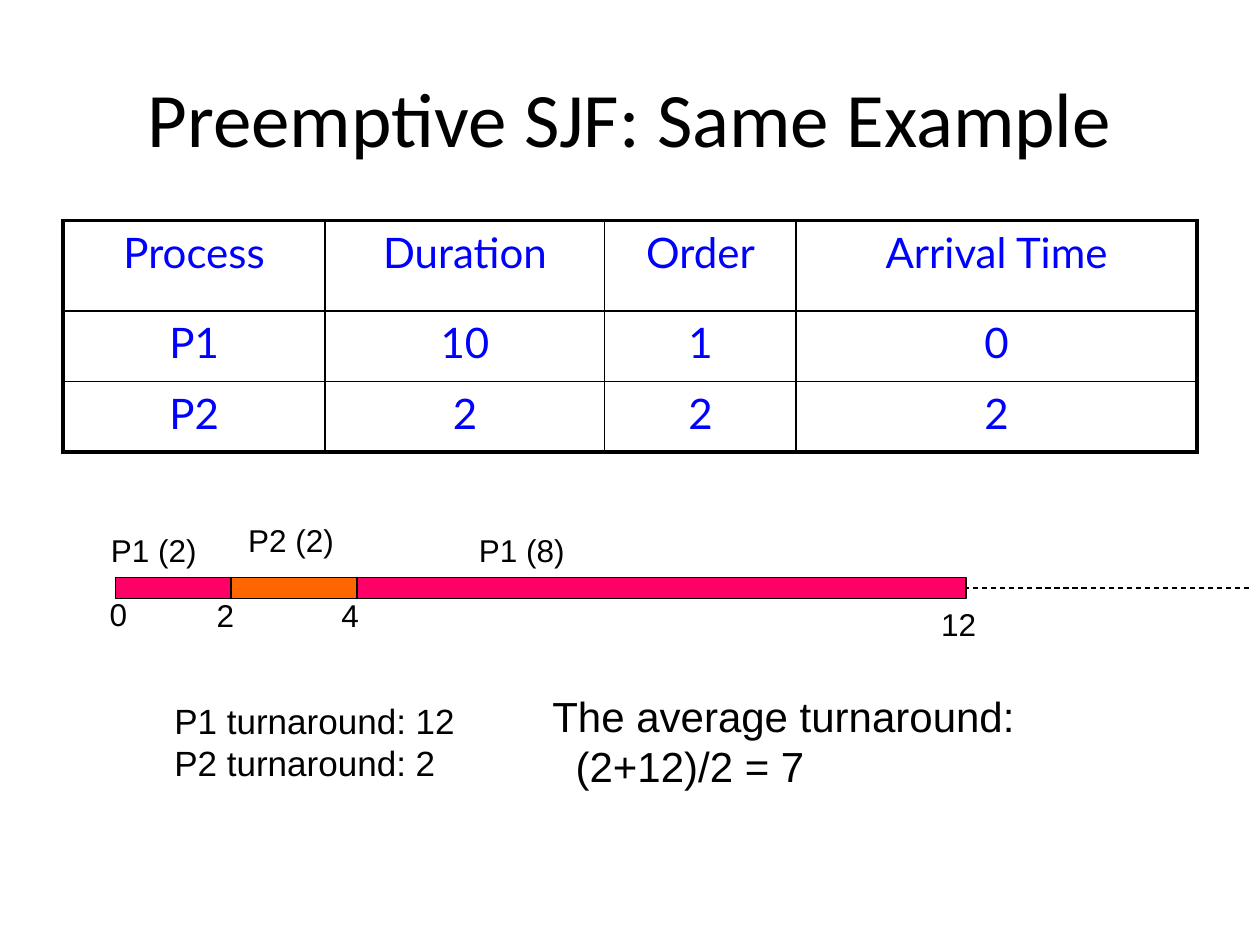
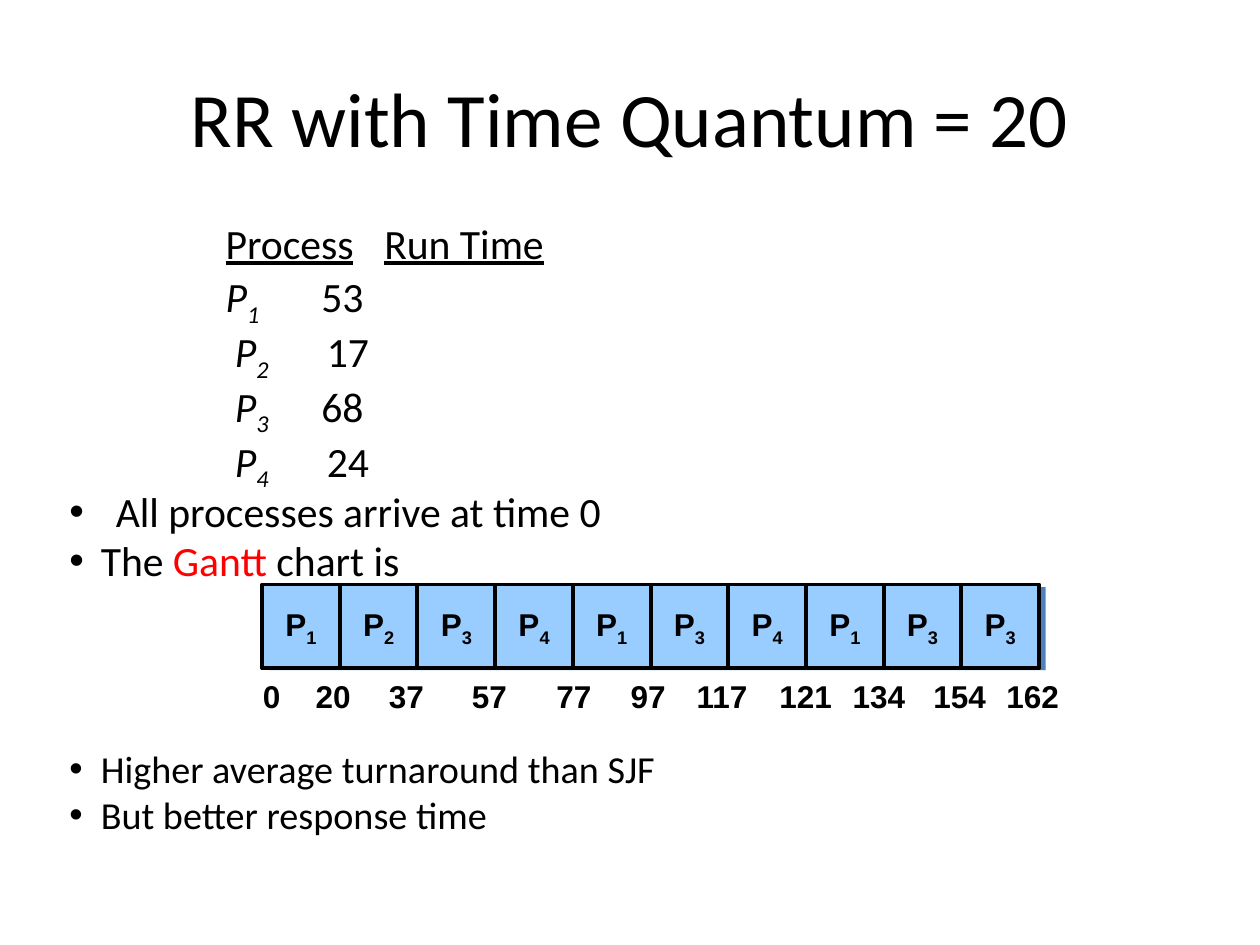
from lxml.etree import SubElement
from pptx import Presentation
from pptx.dml.color import RGBColor
from pptx.enum.dml import MSO_LINE
from pptx.enum.shapes import MSO_CONNECTOR, MSO_SHAPE
from pptx.enum.text import MSO_ANCHOR, MSO_AUTO_SIZE, PP_ALIGN
from pptx.oxml.ns import qn
from pptx.util import Pt

color = RGBColor.from_string
BLACK, BLUE, RED = "000000", "0000FF", "FF0000"
PINK, ORANGE, SKY, STEEL = "FF0066", "FF6600", "99CCFF", "4F81BD"
INSET = Pt(3.6)


def add_text(slide, text, left, top, width, height, size=18, bold=False):
    box = slide.shapes.add_textbox(Pt(left), Pt(top), Pt(width), Pt(height))
    frame = box.text_frame
    frame.margin_left = frame.margin_top = frame.margin_right = frame.margin_bottom = INSET
    frame.word_wrap = False
    frame.text = text
    for paragraph in frame.paragraphs:
        font = paragraph.runs[0].font
        font.name, font.size, font.bold = "Arial", Pt(size), bold
        font.color.rgb = color(BLACK)
    return frame


def add_bar(slide, left, top, width, height, fill, line_width=0):
    """Add a flat rectangle, outlined in black if line_width is given."""
    shape = slide.shapes.add_shape(
        MSO_SHAPE.RECTANGLE, Pt(left), Pt(top), Pt(width), Pt(height))
    shape.shadow.inherit = False
    shape.fill.solid()
    shape.fill.fore_color.rgb = color(fill)
    if line_width:
        shape.line.color.rgb = color(BLACK)
        shape.line.width = Pt(line_width)
    else:
        shape.line.fill.background()
    return shape


presentation = Presentation()
presentation.slide_width, presentation.slide_height = Pt(720), Pt(540)

# Slides and their titles: layout 5 is title only, layout 1 has a body
slides = []
for layout, title_text in [(5, "Preemptive SJF: Same Example"),
                           (1, "RR with Time Quantum = 20")]:
    slide = presentation.slides.add_slide(presentation.slide_layouts[layout])
    title = slide.shapes.title
    title.left, title.top, title.width, title.height = Pt(36), Pt(21.6), Pt(648), Pt(90)
    title.text_frame.text = title_text
    title.text_frame.vertical_anchor = MSO_ANCHOR.MIDDLE
    paragraph = title.text_frame.paragraphs[0]
    paragraph.alignment = PP_ALIGN.CENTER
    font = paragraph.runs[0].font
    font.name, font.size = "Calibri", Pt(44)
    font.color.rgb = color(BLACK)
    slides.append(slide)
sjf_slide, round_robin_slide = slides

# Process table
process_rows = [
    ["Process", "Duration", "Order", "Arrival Time"],
    ["P1", "10", "1", "0"],
    ["P2", "2", "2", "2"],
]
column_widths = [149.8, 159.8, 109.4, 229]
row_heights = [51.8, 40.3, 40.3]
table = sjf_slide.shapes.add_table(
    3, 4, Pt(36), Pt(126), Pt(sum(column_widths)), Pt(sum(row_heights))).table
for column, width in zip(table.columns, column_widths):
    column.width = Pt(width)
for row, height in zip(table.rows, row_heights):
    row.height = Pt(height)

for row_index, values in enumerate(process_rows):
    for column_index, value in enumerate(values):
        cell = table.cell(row_index, column_index)
        cell.margin_left = cell.margin_top = cell.margin_right = cell.margin_bottom = INSET
        cell.text_frame.text = value
        paragraph = cell.text_frame.paragraphs[0]
        paragraph.alignment = PP_ALIGN.CENTER
        paragraph.space_before = Pt(5)
        font = paragraph.runs[0].font
        font.name, font.size, font.bold = "Lato", Pt(24), False
        font.color.rgb = color(BLUE)
        on_outer_edge = {
            "a:lnL": column_index == 0,
            "a:lnR": column_index == 3,
            "a:lnT": row_index == 0,
            "a:lnB": row_index == 2,
        }
        properties = cell._tc.get_or_add_tcPr()
        for tag, outer in on_outer_edge.items():
            border = SubElement(properties, qn(tag), w=str(Pt(2.25 if outer else 1)))
            SubElement(SubElement(border, qn("a:solidFill")), qn("a:srgbClr"), val=BLACK)
        cell.fill.background()

# Timeline: dashed time axis, one bar for each run, a tick at the first switch
axis = sjf_slide.shapes.add_connector(
    MSO_CONNECTOR.STRAIGHT, Pt(66), Pt(336), Pt(714), Pt(336))
axis.line.dash_style = MSO_LINE.DASH
for left, right, fill in [(204, 552, PINK), (132, 204, ORANGE), (66, 132, PINK)]:
    add_bar(sjf_slide, left, 330, right - left, 12, fill, 0.75)
tick = sjf_slide.shapes.add_connector(
    MSO_CONNECTOR.STRAIGHT, Pt(132), Pt(330), Pt(132), Pt(342))
for connector in (axis, tick):
    connector.line.color.rgb = color(BLACK)
    connector.line.width = Pt(0.75)
    SubElement(connector._element.spPr, qn("a:effectLst"))

for text, left, top, width in [
    ("P1 (2)", 59.8, 300, 56.9),
    ("P2 (2)", 138.2, 294, 56.9),
    ("P1 (8)", 270, 300, 56.9),
    ("0", 59, 336.2, 17.2),
    ("2", 120.2, 337, 17.2),
    ("4", 191.5, 337, 17.2),
    ("12", 534.2, 342, 28.1),
]:
    add_text(sjf_slide, text, left, top, width, 27.4)

add_text(sjf_slide, "P1 turnaround: 12\nP2 turnaround: 2", 96, 396, 176.4, 52.6, 20)
average = add_text(
    sjf_slide, "The average turnaround:\n(2+12)/2 = 7", 312, 391, 279.4, 62.6, 24)
average.paragraphs[1]._p.get_or_add_pPr().set("marL", str(Pt(13.3)))

# Run times and remarks: each run is text and style
# (u underlined, i italic, s subscript, r red)
body_lines = [[("Process", "u"), ("\t", ""), ("Run Time", "u")]]
for lead, number, gap, run_time in [
    ("", "1", "\t", "53"),
    (" ", "2", "\t ", "17"),
    (" ", "3", "\t", "68"),
    (" ", "4", "\t ", "24"),
]:
    body_lines.append([(lead + "P", "i"), (number + gap, "is"), (run_time, "")])
body_lines += [
    [("All processes arrive at time 0", "")],
    [("The ", ""), ("Gantt", "r"), (" chart is", "")],
    [("Higher average turnaround than SJF", "")],
    [("But better response time", "")],
]
FIRST_BULLET, FIRST_REMARK = 5, 7

body = round_robin_slide.placeholders[1]
body.left, body.top, body.width, body.height = Pt(36), Pt(126), Pt(648), Pt(356.4)
frame = body.text_frame
frame.margin_left = frame.margin_top = frame.margin_right = frame.margin_bottom = INSET
frame.auto_size = MSO_AUTO_SIZE.NONE
for index, runs in enumerate(body_lines):
    paragraph = frame.add_paragraph() if index else frame.paragraphs[0]
    paragraph.line_spacing = 0.81
    # The first remark leaves room for the Gantt chart
    paragraph.space_before = Pt(96.5 if index == FIRST_REMARK else 5)
    properties = paragraph._p.get_or_add_pPr()
    if index < FIRST_BULLET:
        properties.set("marL", "0")
        properties.set("indent", str(Pt(89.3)))
        SubElement(properties, qn("a:buNone"))
        tab_list = SubElement(properties, qn("a:tabLst"))
        for position in (160.6, 231.9):
            SubElement(tab_list, qn("a:tab"), pos=str(Pt(position)), algn="l")
    else:
        indent = Pt(26.6 if index == FIRST_BULLET else 18)
        properties.set("marL", str(indent))
        properties.set("indent", str(-indent))
        SubElement(properties, qn("a:buChar"), char="•")
    for text, style in runs:
        run = paragraph.add_run()
        run.text = text
        font = run.font
        font.name, font.size = "Calibri", Pt(21.8 if index >= FIRST_REMARK else 23.8)
        font.underline, font.italic = "u" in style, "i" in style
        font.color.rgb = color(RED if "r" in style else BLACK)
        if "s" in style:
            run._r.get_or_add_rPr().set("baseline", "-25000")

# Gantt chart: equal cells over a shadow bar
add_bar(round_robin_slide, 154, 335.5, 443.5, 47.5, STEEL)
CELL_WIDTH = 44.4
for index, process in enumerate("1234134133"):
    cell = add_bar(round_robin_slide, 149.8 + index * CELL_WIDTH, 334, CELL_WIDTH, 48,
                   SKY, 2.25)
    frame = cell.text_frame
    frame.margin_left = frame.margin_top = frame.margin_right = frame.margin_bottom = INSET
    frame.vertical_anchor = MSO_ANCHOR.MIDDLE
    paragraph = frame.paragraphs[0]
    paragraph.alignment = PP_ALIGN.CENTER
    for text in ("P", process):
        run = paragraph.add_run()
        run.text = text
        run.font.name, run.font.size, run.font.bold = "Arial", Pt(18), True
        run.font.color.rgb = color(BLACK)
    run._r.get_or_add_rPr().set("baseline", "-25000")

for time, center in [
    ("0", 155.2), ("20", 190.4), ("37", 232.2), ("57", 279.7), ("77", 328),
    ("97", 370.4), ("117", 412.6), ("121", 460.4), ("134", 502.2),
    ("154", 548.3), ("162", 590),
]:
    width = 8 + 10 * len(time)
    frame = add_text(round_robin_slide, time, center - width / 2, 383, width, 29.5, bold=True)
    frame.vertical_anchor = MSO_ANCHOR.MIDDLE
    frame.paragraphs[0].alignment = PP_ALIGN.CENTER

presentation.save("out.pptx")
